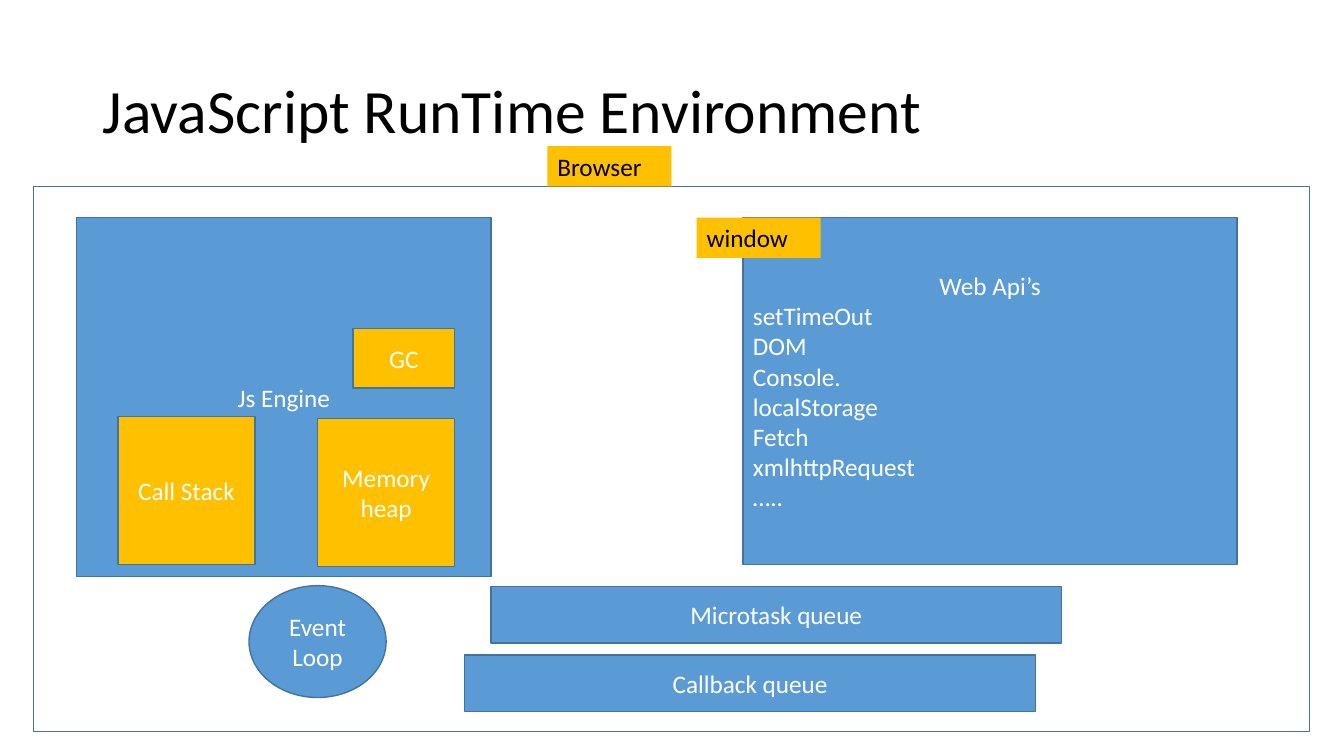
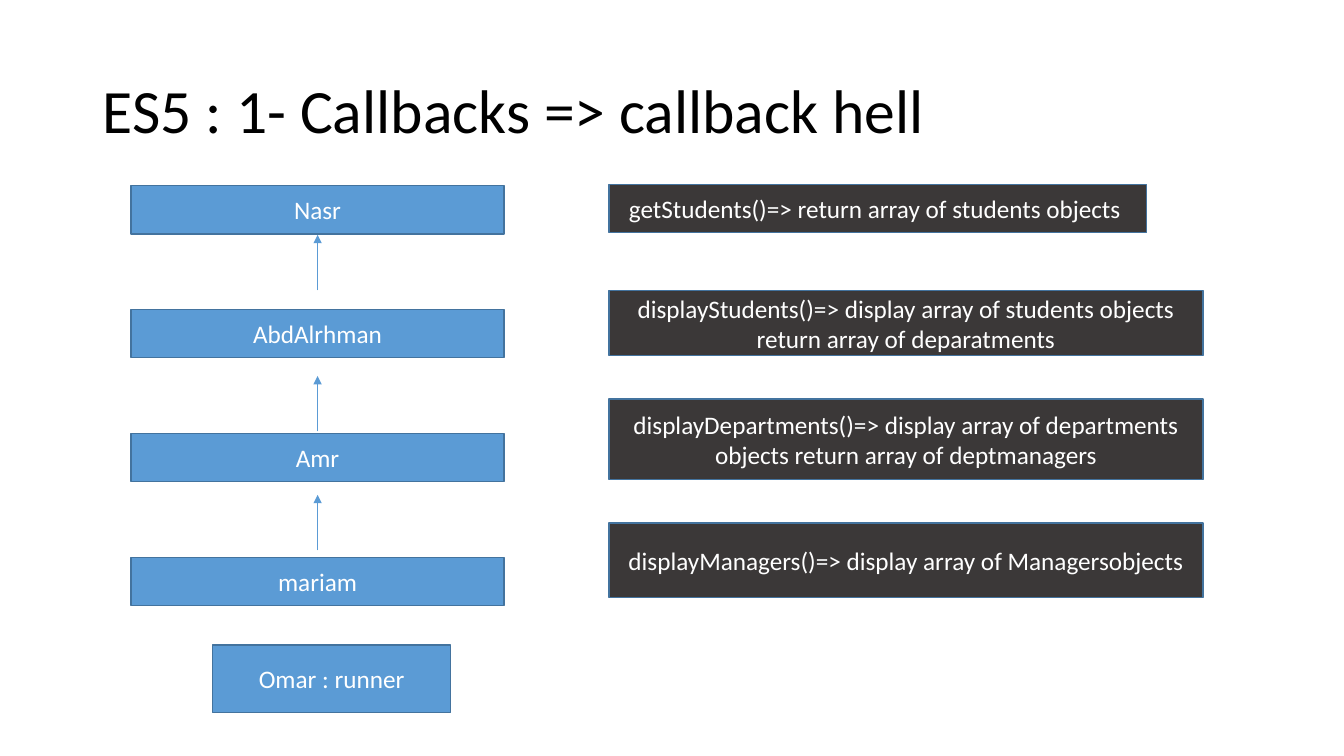
from lxml.etree import SubElement
from pptx import Presentation
from pptx.dml.color import RGBColor
from pptx.enum.shapes import MSO_CONNECTOR, MSO_SHAPE
from pptx.enum.text import MSO_ANCHOR, MSO_AUTO_SIZE, PP_ALIGN
from pptx.oxml.ns import qn
from pptx.util import Inches, Pt

INK = {
    "blue": "5B9BD5",
    "edge": "43739E",
    "gold": "FFC000",
    "dark": "3B3838",
    "white": "FFFFFF",
    "black": "000000",
}
FONT = "Calibri"


def color(name):
    """Return the named colour."""
    return RGBColor.from_string(INK[name])


def add_run(para, text, size, ink):
    """Add one styled run to a paragraph."""
    run = para.add_run()
    run.text = text
    run.font.name = FONT
    run.font.size = Pt(size)
    run.font.color.rgb = color(ink)


def add_slide(deck, title):
    """Add a slide with the shared title style."""
    slide = deck.slides.add_slide(deck.slide_layouts[5])
    head = slide.shapes.title
    head.left, head.top = Inches(0.92), Inches(0.4)
    head.width, head.height = Inches(11.5), Inches(1.45)
    frame = head.text_frame
    frame.auto_size = MSO_AUTO_SIZE.NONE
    frame.vertical_anchor = MSO_ANCHOR.MIDDLE
    para = frame.paragraphs[0]
    para.alignment = PP_ALIGN.LEFT
    para.line_spacing = 0.9
    add_run(para, title, 44, "black")
    return slide


def add_box(slide, area, text="", fill="blue", form=MSO_SHAPE.RECTANGLE):
    """Add an outlined shape with centred white text."""
    box = slide.shapes.add_shape(form, *map(Inches, area))
    box.shadow.inherit = False
    if fill:
        box.fill.solid()
        box.fill.fore_color.rgb = color(fill)
    else:
        box.fill.background()
    box.line.color.rgb = color("edge")
    box.line.width = Pt(1)
    frame = box.text_frame
    frame.word_wrap = True
    frame.vertical_anchor = MSO_ANCHOR.MIDDLE
    if text:
        para = frame.paragraphs[0]
        para.alignment = PP_ALIGN.CENTER
        add_run(para, text, 18, "white")
    return box


def add_list(box, items):
    """Add left-aligned lines below the text of a box."""
    for item in items:
        para = box.text_frame.add_paragraph()
        para.alignment = PP_ALIGN.LEFT
        add_run(para, item, 18, "white")


def add_tag(slide, left, top, text):
    """Add a gold label with black text."""
    tag = slide.shapes.add_textbox(*map(Inches, (left, top, 1.23, 0.4)))
    tag.fill.solid()
    tag.fill.fore_color.rgb = color("gold")
    tag.text_frame.word_wrap = True
    add_run(tag.text_frame.paragraphs[0], text, 18, "black")


def add_arrow(slide, x, tip, size):
    """Add a thin arrow that points up to its tip."""
    ends = map(Inches, (x, tip + size, x, tip))
    line = slide.shapes.add_connector(MSO_CONNECTOR.STRAIGHT, *ends)
    line.line.color.rgb = color("blue")
    line.line.width = Pt(0.5)
    SubElement(line.line._get_or_add_ln(), qn("a:tailEnd"), type="triangle")
    SubElement(line._element.spPr, qn("a:effectLst"))


def build_runtime(deck):
    """Build the runtime environment slide."""
    slide = add_slide(deck, "JavaScript RunTime Environment")
    add_box(slide, (0.33, 1.85, 12.66, 5.41), fill=None)
    add_tag(slide, 5.43, 1.45, "Browser")
    add_box(slide, (0.76, 2.16, 4.11, 3.56), "Js Engine")
    parts = [
        ("Call Stack", (1.17, 4.13, 1.36, 1.47)),
        ("Memory heap", (3.15, 4.15, 1.36, 1.47)),
        ("GC", (3.5, 3.26, 1.01, 0.59)),
    ]
    for text, area in parts:
        add_box(slide, area, text, "gold")
    web = add_box(slide, (7.37, 2.16, 4.9, 3.44), "Web Api’s")
    add_list(web, ["setTimeOut", "DOM", "Console.", "localStorage",
                   "Fetch", "xmlhttpRequest", "….."])
    add_tag(slide, 6.91, 2.16, "window")
    queues = [("Callback queue", 4.61, 6.5), ("Microtask queue", 4.87, 5.82)]
    for text, left, top in queues:
        add_box(slide, (left, top, 5.66, 0.56), text)
    add_box(slide, (2.47, 5.81, 1.36, 1.11), "Event Loop",
            form=MSO_SHAPE.OVAL)


def build_calls(deck):
    """Build the callback hell slide."""
    slide = add_slide(deck, "ES5 : 1- Callbacks => callback hell")
    steps = [
        ("Nasr", "getStudents()=> return array of students objects ",
         1.83, 5.33, 0.48),
        ("AbdAlrhman", "displayStudents()=> display array of students "
         "objects return array of deparatments", 2.88, 5.89, 0.65),
        ("Amr", "displayDepartments()=> display array of departments "
         "objects return array of deptmanagers", 3.96, 5.89, 0.8),
        ("mariam", "displayManagers()=> display array of Managersobjects",
         5.19, 5.89, 0.74),
    ]
    for row, (name, task, top, width, height) in enumerate(steps):
        add_box(slide, (1.3, 1.84 + 1.23 * row, 3.7, 0.48), name)
        add_box(slide, (6.04, top, width, height), task, "dark")
    for tip in (4.91, 3.73, 2.33):
        add_arrow(slide, 3.15, tip, 0.55)
    add_box(slide, (2.11, 6.4, 2.36, 0.67), "Omar : runner")


def main():
    """Build and save the deck."""
    deck = Presentation()
    deck.slide_width, deck.slide_height = Inches(13.33), Inches(7.5)
    build_runtime(deck)
    build_calls(deck)
    deck.save("out.pptx")


if __name__ == "__main__":
    main()
